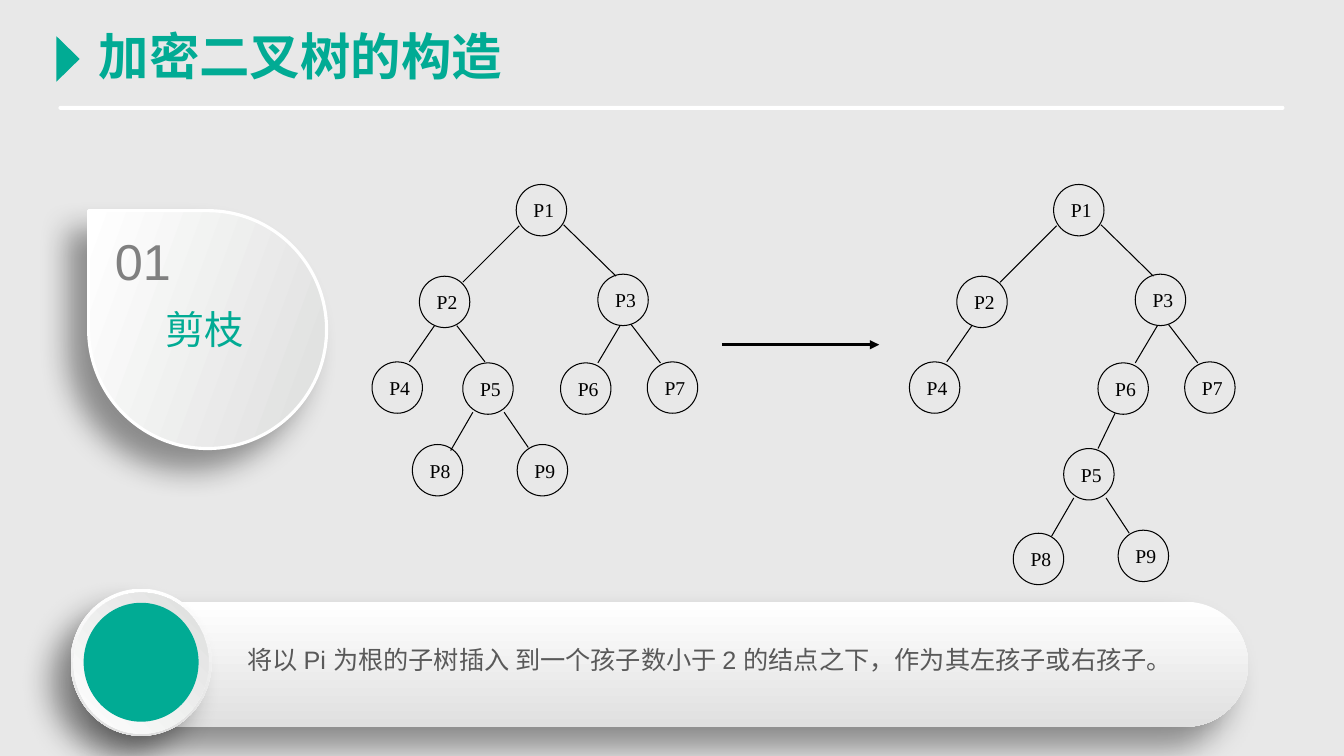
from dataclasses import dataclass

from lxml import etree
from pptx import Presentation
from pptx.dml.color import RGBColor
from pptx.enum.shapes import MSO_CONNECTOR, MSO_SHAPE
from pptx.enum.text import MSO_ANCHOR, PP_ALIGN
from pptx.oxml.ns import qn
from pptx.util import Inches, Pt

ELLIPSE = MSO_SHAPE.OVAL
ROUNDED = MSO_SHAPE.ROUNDED_RECTANGLE
TEARDROP = MSO_SHAPE.TEAR
TRIANGLE = MSO_SHAPE.ISOSCELES_TRIANGLE
STRAIGHT = MSO_CONNECTOR.STRAIGHT
MIDDLE = MSO_ANCHOR.MIDDLE
LEFT, CENTER = PP_ALIGN.LEFT, PP_ALIGN.CENTER


@dataclass(frozen=True)
class Theme:
    background: str = "E8E8E8"
    accent: str = "01AB94"
    white: str = "FFFFFF"
    black: str = "000000"
    silver: str = "DDDEDD"
    pale: str = "E0E0E0"
    number: str = "808080"
    body: str = "595959"
    font: str = "Arial"
    node_font: str = "Times New Roman"
    title_size: int = 36
    topic_size: int = 28
    body_size: int = 18
    node_size: int = 14
    thin: float = 0.75
    thick: float = 2.25


class SlideBuilder:
    def __init__(self, slide, theme):
        self.slide = slide
        self.theme = theme
        background = slide.background.fill
        background.solid()
        background.fore_color.rgb = RGBColor.from_string(theme.background)

    def shape(self, kind, box, fill=None, gradient=None, line=None, width=0,
              flip=False, shadow=False):
        shape = self.slide.shapes.add_shape(kind, *map(Inches, box))
        shape.shadow.inherit = False
        if kind == ROUNDED:
            shape.adjustments[0] = 0.5
        if gradient:
            end_color, angle = gradient
            shape.fill.gradient()
            shape.fill.gradient_angle = 360 - angle
            colors = (self.theme.white, end_color)
            for stop, color, position in zip(shape.fill.gradient_stops, colors, (0, 1)):
                stop.color.rgb = RGBColor.from_string(color)
                stop.position = position
        elif fill:
            shape.fill.solid()
            shape.fill.fore_color.rgb = RGBColor.from_string(fill)
        else:
            shape.fill.background()
        if line:
            shape.line.color.rgb = RGBColor.from_string(line)
            shape.line.width = Pt(width)
        else:
            shape.line.fill.background()
        properties = shape._element.spPr
        if flip:
            properties.get_or_add_xfrm().set("flipH", "1")
        if shadow:
            self.cast_shadow(properties.find(qn("a:effectLst")))
        return shape

    def cast_shadow(self, effects):
        outer = etree.SubElement(
            effects, qn("a:outerShdw"), blurRad=str(Pt(22)), dist=str(Pt(20)),
            dir=str(135 * 60000), algn="tr", rotWithShape="0")
        color = etree.SubElement(outer, qn("a:srgbClr"), val=self.theme.black)
        etree.SubElement(color, qn("a:alpha"), val="40000")

    def label(self, shape, text, size, color, font, align=LEFT, bold=False, wrap=True):
        frame = shape.text_frame
        frame.text = text
        frame.word_wrap = wrap
        paragraph = frame.paragraphs[0]
        paragraph.alignment = align
        style = paragraph.runs[0].font
        style.size = Pt(size)
        style.name = font
        style.bold = bold
        style.color.rgb = RGBColor.from_string(color)

    def text(self, box, text, size, color, **options):
        shape = self.slide.shapes.add_textbox(*map(Inches, box))
        self.label(shape, text, size, color, self.theme.font, **options)

    def line(self, points, width, arrow=False):
        connector = self.slide.shapes.add_connector(STRAIGHT, *map(Inches, points))
        connector.line.color.rgb = RGBColor.from_string(self.theme.black)
        connector.line.width = Pt(width)
        if arrow:
            outline = connector._element.spPr.find(qn("a:ln"))
            etree.SubElement(outline, qn("a:tailEnd"), type="triangle")
        etree.SubElement(connector._element.spPr, qn("a:effectLst"))

    def tree(self, nodes, edges, offset=0):
        theme = self.theme
        for name, (left, top) in nodes.items():
            node = self.shape(ELLIPSE, (left + offset, top, 0.5, 0.51),
                              line=theme.black, width=theme.thin)
            self.label(node, name, theme.node_size, theme.black, theme.node_font, wrap=False)
            node.text_frame.vertical_anchor = MIDDLE
        for x1, y1, x2, y2 in edges.values():
            self.line((x1 + offset, y1, x2 + offset, y2), theme.thin)


NODES = {
    "P1": (5.12, 1.83), "P2": (4.16, 2.74), "P3": (5.93, 2.72),
    "P4": (3.69, 3.59), "P5": (4.59, 3.6), "P6": (5.56, 3.6),
    "P7": (6.42, 3.59), "P8": (4.09, 4.41), "P9": (5.13, 4.41),
}
EDGES = {
    "P1-P2": (5.15, 2.24, 4.59, 2.8),
    "P1-P3": (5.59, 2.23, 6.11, 2.74),
    "P2-P4": (4.31, 3.23, 4.06, 3.59),
    "P2-P5": (4.53, 3.23, 4.81, 3.59),
    "P3-P6": (6.15, 3.23, 5.93, 3.6),
    "P3-P7": (6.26, 3.22, 6.55, 3.6),
    "P5-P8": (4.69, 4.09, 4.47, 4.47),
    "P5-P9": (5, 4.09, 5.24, 4.44),
}
MOVED_NODES = {"P5": (5.22, 4.45), "P8": (4.72, 5.29), "P9": (5.76, 5.26)}
MOVED_EDGES = {
    "P6-P5": (5.73, 4.1, 5.56, 4.45),
    "P5-P8": (5.32, 4.94, 5.1, 5.32),
    "P5-P9": (5.64, 4.94, 5.87, 5.29),
}
TREE_DISTANCE = 5.33


def main():
    presentation = Presentation()
    presentation.slide_width = Inches(13.33)
    presentation.slide_height = Inches(7.5)
    theme = Theme()
    builder = SlideBuilder(
        presentation.slides.add_slide(presentation.slide_layouts[6]), theme)

    builder.shape(ROUNDED, (0.58, 1.05, 12.16, 0.04), fill=theme.white)
    builder.shape(TEARDROP, (0.88, 2.09, 2.36, 2.36), gradient=(theme.silver, 160),
                  line=theme.white, width=theme.thick, flip=True, shadow=True)
    builder.text((1.04, 2.23, 1.02, 1.12), "01", theme.title_size, theme.number, wrap=False)
    builder.text((1.54, 2.98, 1.03, 0.57), "剪枝", theme.topic_size, theme.accent)
    builder.text((0.88, 0.2, 4.24, 0.71), "加密二叉树的构造", theme.title_size,
                 theme.accent, bold=True, wrap=False)
    marker = builder.shape(TRIANGLE, (0.45, 0.47, 0.45, 0.23), fill=theme.accent)
    marker.rotation = 90

    builder.tree(NODES, EDGES)
    kept_edges = {name: edge for name, edge in EDGES.items() if name != "P2-P5"}
    builder.tree(NODES | MOVED_NODES, kept_edges | MOVED_EDGES, TREE_DISTANCE)
    builder.line((7.16, 3.42, 8.72, 3.42), theme.thick, arrow=True)

    builder.shape(ROUNDED, (1, 5.97, 11.38, 1.24), gradient=(theme.pale, 90),
                  flip=True, shadow=True)
    builder.shape(ELLIPSE, (0.7, 5.84, 1.4, 1.46), gradient=(theme.pale, 90), shadow=True)
    builder.shape(ELLIPSE, (0.73, 5.88, 1.34, 1.4), gradient=(theme.silver, 315))
    builder.shape(ELLIPSE, (0.83, 5.98, 1.14, 1.18), fill=theme.accent)
    builder.text((2.07, 6.34, 9.94, 0.4),
                 "将以 Pi 为根的子树插入 到一个孩子数小于 2 的结点之下，作为其左孩子或右孩子。",
                 theme.body_size, theme.body, align=CENTER)

    presentation.save("out.pptx")


if __name__ == "__main__":
    main()
